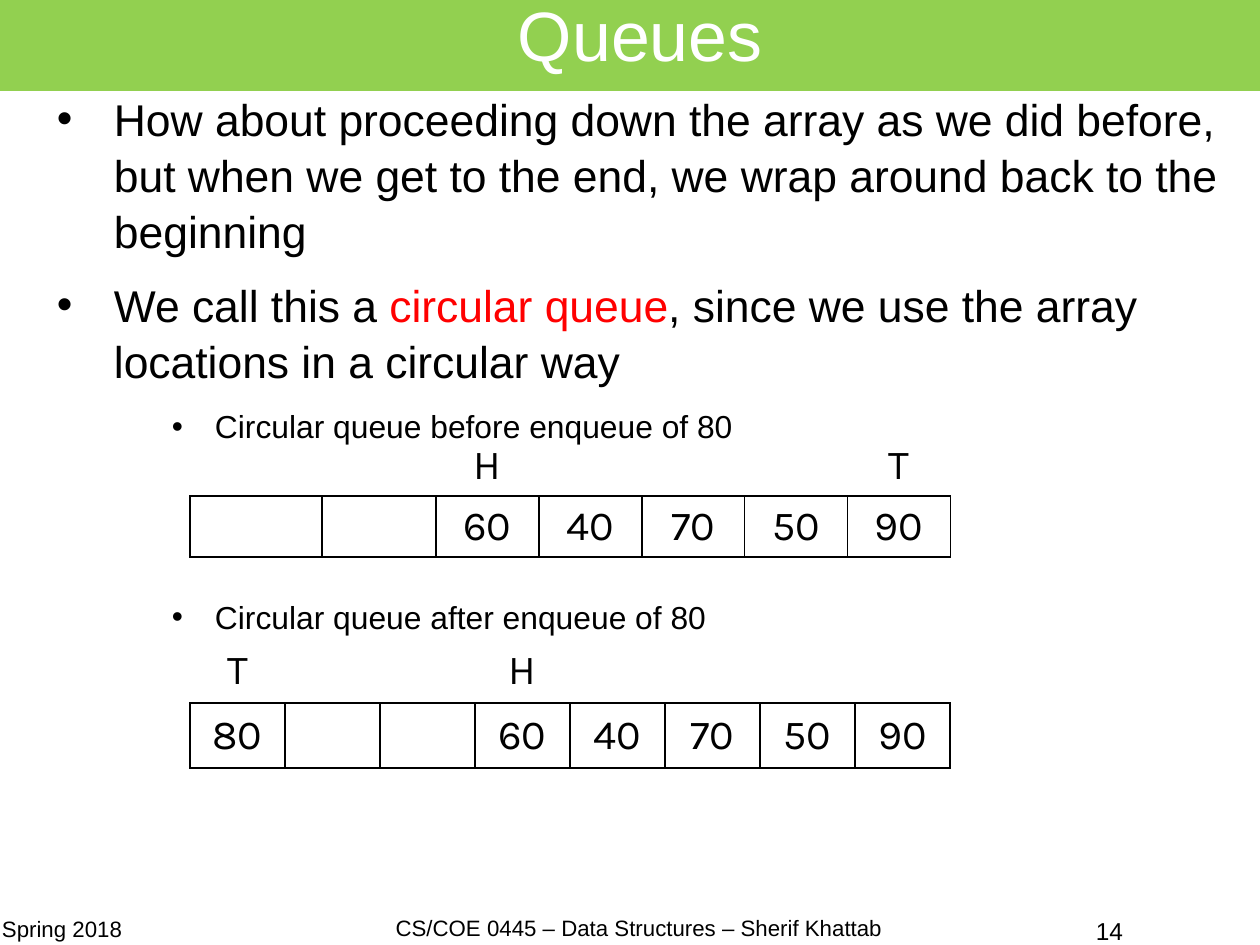
"""Build the slide about circular queues."""
import pptx
import pptx.dml.color
import pptx.enum.shapes
import pptx.enum.text
import pptx.oxml.ns
import pptx.util
from lxml import etree

TITLE = {"text": "Queues", "box": (0, -2, 1262, 93)}
BODY_BOX = (0, 89, 1262, 821)
BODY = [
    ("main", ["How about proceeding down the array as we did before, but when "
              "we get to the end, we wrap around back to the beginning"], 0),
    ("main", ["We call this a ", "circular queue",
              ", since we use the array locations in a circular way"], 0),
    ("sub", ["Circular queue before enqueue of 80"], 0),
    ("sub", ["Circular queue after enqueue of 80"], 89),
]
HIGHLIGHT = "circular queue"
LEVELS = {
    "main": {"margin": 114, "hanging": 57, "after": 11.4},
    "sub": {"margin": 215, "hanging": 43, "after": 5.8},
}
FOOTERS = [
    ("Spring 2018", (2, 920, 289, 63), "left", "footer", 0.84),
    ("CS/COE 0445 – Data Structures – Sherif Khattab",
     (351, 916, 576, 63), "center", "footer", 0.96),
    ("14", (965, 916, 289, 63), "center", "number", 1),
]
QUEUES = [
    {"left": 190, "top": 435, "row": 61, "columns": [103, 29, 114] + [103] * 5,
     "markers": ["", "", "", "H", "", "", "", "T"],
     "values": ["", "", "", "60", "40", "70", "50", "90"], "merge": (0, 1)},
    {"left": 190, "top": 638, "row": 65, "columns": [95] * 8,
     "markers": ["T", "", "", "H", "", "", "", ""],
     "values": ["80", "", "", "60", "40", "70", "50", "90"], "merge": None},
]
THEME = {
    "banner": "92D050", "title_text": "FFFFFF", "text": "000000",
    "highlight": "FF0000", "line": "000000",
    "font": "Arial", "table_font": "Karla",
    "sizes": {"title": 44, "main": 28, "sub": 20, "footer": 14,
              "number": 15.4, "table": 26},
}
ALIGN = {"left": pptx.enum.text.PP_ALIGN.LEFT,
         "center": pptx.enum.text.PP_ALIGN.CENTER}


def px(length):
    return pptx.util.Emu(length * 8000)


def color(name):
    return pptx.dml.color.RGBColor.from_string(THEME[name])


def format_run(run, size, font="font", fill="text"):
    run.font.name = THEME[font]
    run.font.size = pptx.util.Pt(THEME["sizes"][size])
    run.font.color.rgb = color(fill)


def clear_margins(text_frame):
    text_frame.word_wrap = True
    text_frame.margin_left = text_frame.margin_right = 0
    text_frame.margin_top = text_frame.margin_bottom = 0


def add_text_box(slide, box):
    text_frame = slide.shapes.add_textbox(*map(px, box)).text_frame
    clear_margins(text_frame)
    return text_frame


def add_child(parent, tag, **attributes):
    return etree.SubElement(parent, pptx.oxml.ns.qn(tag), attributes)


def add_title(slide):
    shape = slide.shapes.add_shape(
        pptx.enum.shapes.MSO_SHAPE.RECTANGLE, *map(px, TITLE["box"]))
    shape.shadow.inherit = False
    shape.fill.solid()
    shape.fill.fore_color.rgb = color("banner")
    shape.line.fill.background()
    text_frame = shape.text_frame
    clear_margins(text_frame)
    text_frame.margin_left = px(19)
    text_frame.vertical_anchor = pptx.enum.text.MSO_ANCHOR.MIDDLE
    text_frame.text = TITLE["text"]
    paragraph = text_frame.paragraphs[0]
    paragraph.alignment = ALIGN["center"]
    paragraph.line_spacing = 0.69
    format_run(paragraph.runs[0], "title", fill="title_text")


def add_body(slide):
    text_frame = add_text_box(slide, BODY_BOX)
    for index, (level, pieces, before) in enumerate(BODY):
        paragraph = text_frame.add_paragraph() if index else text_frame.paragraphs[0]
        paragraph.line_spacing = 1.05
        paragraph.space_before = pptx.util.Pt(before)
        paragraph.space_after = pptx.util.Pt(LEVELS[level]["after"])
        properties = paragraph._p.get_or_add_pPr()
        properties.set("marL", str(px(LEVELS[level]["margin"])))
        properties.set("indent", str(px(-LEVELS[level]["hanging"])))
        bullet_color = add_child(properties, "a:buClr")
        add_child(bullet_color, "a:srgbClr", val=THEME["text"])
        add_child(properties, "a:buFont", typeface=THEME["font"])
        add_child(properties, "a:buChar", char="•")
        for piece in pieces:
            run = paragraph.add_run()
            run.text = piece
            fill = "highlight" if piece == HIGHLIGHT else "text"
            format_run(run, level, fill=fill)


def set_borders(cell, visible_sides):
    properties = cell._tc.get_or_add_tcPr()
    for index, side in enumerate("LRTB"):
        line = add_child(properties, f"a:ln{side}", w=str(pptx.util.Pt(1)))
        if side in visible_sides:
            fill = add_child(line, "a:solidFill")
            add_child(fill, "a:srgbClr", val=THEME["line"])
        else:
            add_child(line, "a:noFill")
        properties.insert(index, line)


def add_queue(slide, queue):
    columns = queue["columns"]
    rows = [queue["markers"], queue["values"]]
    table = slide.shapes.add_table(
        len(rows), len(columns), px(queue["left"]), px(queue["top"]),
        px(sum(columns)), px(queue["row"] * len(rows))).table
    table.first_row = table.horz_banding = False
    for column, width in zip(table.columns, columns):
        column.width = px(width)
    for row_index, row in enumerate(rows):
        table.rows[row_index].height = px(queue["row"])
        for column_index, text in enumerate(row):
            cell = table.cell(row_index, column_index)
            cell.fill.background()
            set_borders(cell, "LRTB" if row_index else "B")
            cell.vertical_anchor = pptx.enum.text.MSO_ANCHOR.MIDDLE
            if text:
                cell.text_frame.text = text
                paragraph = cell.text_frame.paragraphs[0]
                paragraph.alignment = ALIGN["center"]
                format_run(paragraph.runs[0], "table", "table_font")
    if queue["merge"]:
        first, last = queue["merge"]
        table.cell(1, first).merge(table.cell(1, last))


def add_footer(slide, text, box, alignment, size, spacing):
    text_frame = add_text_box(slide, box)
    text_frame.text = text
    paragraph = text_frame.paragraphs[0]
    paragraph.alignment = ALIGN[alignment]
    paragraph.line_spacing = spacing
    format_run(paragraph.runs[0], size)


def main():
    presentation = pptx.Presentation()
    presentation.slide_width, presentation.slide_height = px(1260), px(945)
    slide = presentation.slides.add_slide(presentation.slide_layouts[6])
    add_title(slide)
    add_body(slide)
    for footer in FOOTERS:
        add_footer(slide, *footer)
    for queue in QUEUES:
        add_queue(slide, queue)
    presentation.save("out.pptx")


if __name__ == "__main__":
    main()
